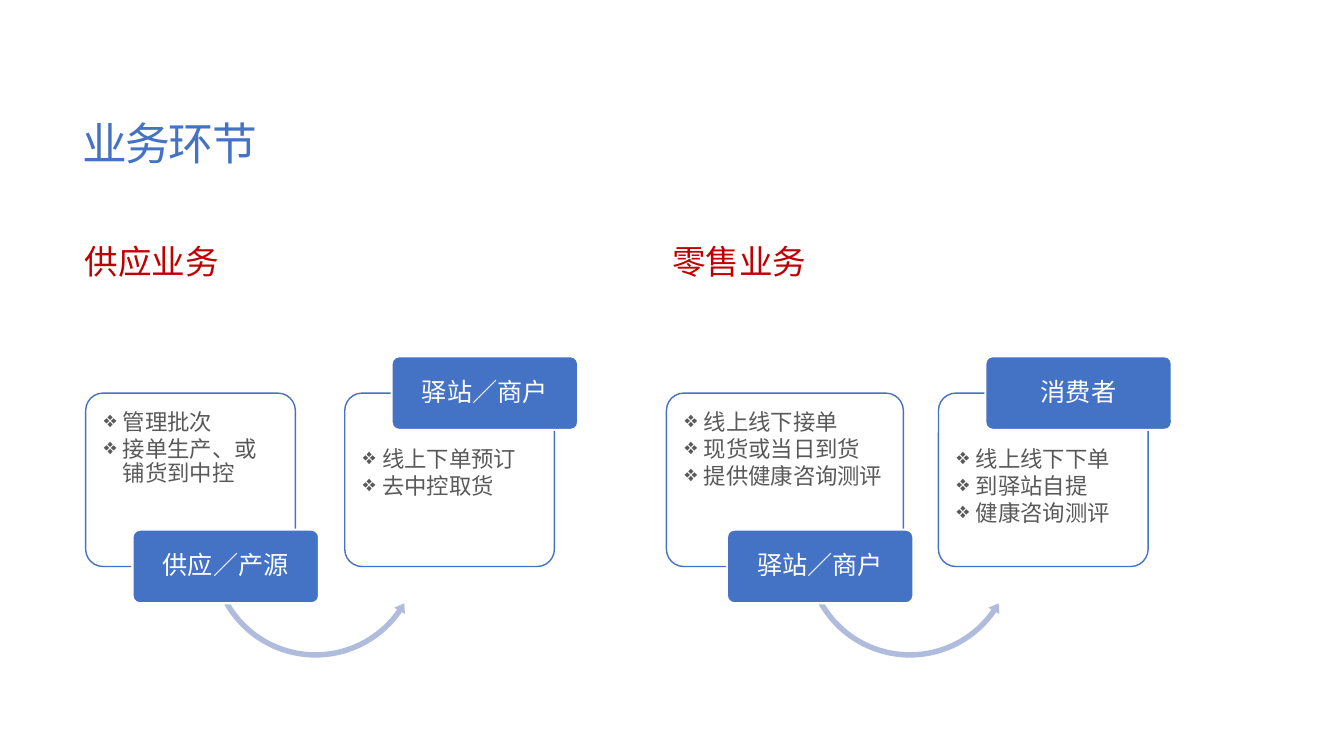
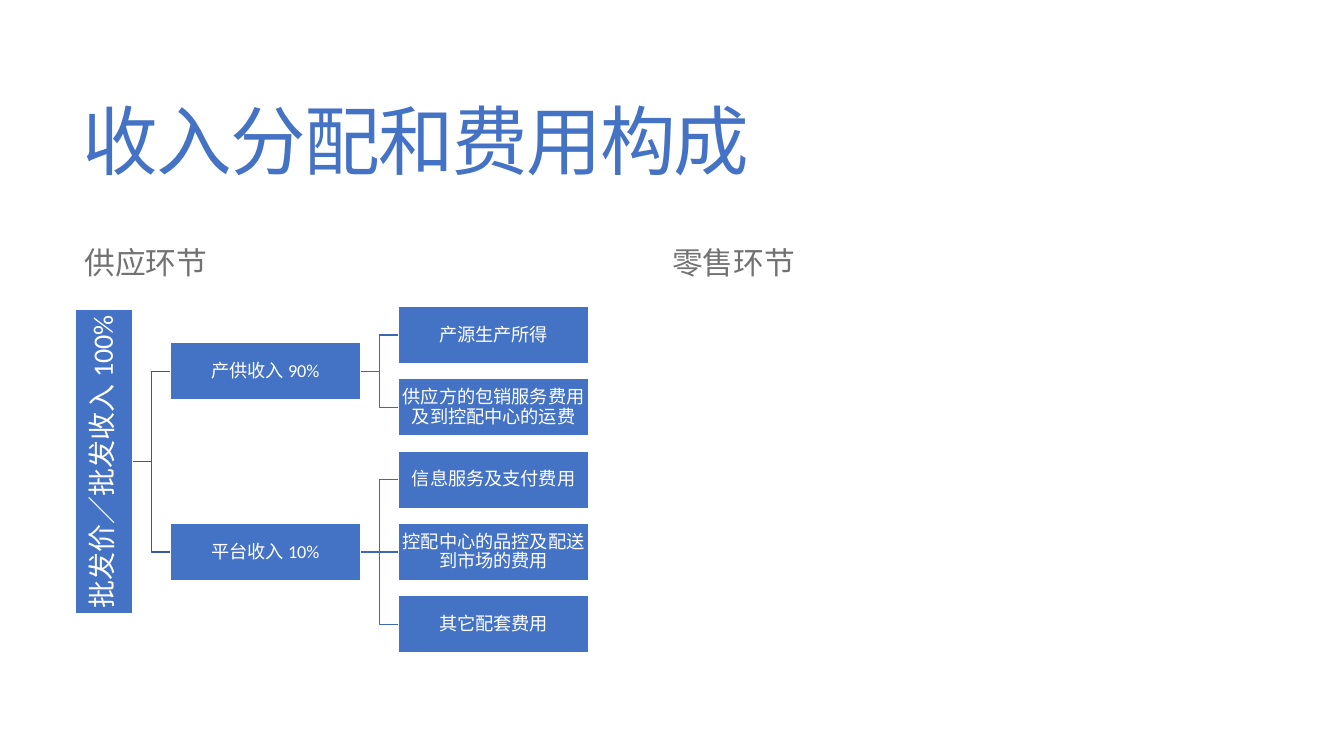
"""Build two slides on business links and on how revenue is shared."""
from lxml import etree
from pptx import Presentation
from pptx import util as u
from pptx.dml.color import RGBColor
from pptx.enum import shapes, text
from pptx.oxml.ns import qn

WIDTH, HEIGHT = u.Inches(13.333), u.Inches(7.5)
COLUMNS, ROWS = 40, 30

BLUE = RGBColor(0x44, 0x72, 0xC4)
RED = RGBColor(0xC0, 0x00, 0x00)
GREY = RGBColor(0x72, 0x72, 0x72)
DARK_GREY = RGBColor(0x59, 0x59, 0x59)
PALE_BLUE = RGBColor(0xB0, 0xBC, 0xDE)
ROOT_LINE = RGBColor(0x36, 0x5B, 0x9D)
BRANCH_LINE = RGBColor(0x3E, 0x67, 0xB2)
WHITE = RGBColor(0xFF, 0xFF, 0xFF)

CJK, LATIN = "Noto Sans CJK SC", "Calibri"
MIDDLE, TOP = text.MSO_ANCHOR.MIDDLE, text.MSO_ANCHOR.TOP
CENTER, LEFT = text.PP_ALIGN.CENTER, text.PP_ALIGN.LEFT
SHAPE = shapes.MSO_SHAPE

HEADING_LEFTS = (2.22, 19.71)
CARD_TOP, CARD_HEIGHT = 15.6, 6.88
LABEL_SIZE, LABEL_SHIFT = (5.55, 2.92), 1.05
ARROW_SIZE, ARROW_SHIFT, ARROW_ROW = (6.45, 8.6), 2.67, 21.94
ARROW_ADJUSTMENTS = (0.025, 3.019, 20.774, 90.245, 0.029)
NODE_SIZE, ROOT_SIZE = (5.67, 2.28), (9.06, 2.28)
ROOT_COLUMN, BRANCH_COLUMN, LEAF_COLUMN = 3.09, 7.9, 14.69
ROOT_HALF = 0.86
FIRST_LEAF_ROW, LEAF_STEP = 13.3, 2.87

FLOWS = (
    ((5.67, 6.24, "供应／产源", ("管理批次", "接单生产、或铺货到中控")),
     (13.38, 6.24, "驿站／商户", ("线上下单预订", "去中控取货"))),
    ((23.36, 7.05, "驿站／商户", ("线上线下接单", "现货或当日到货", "提供健康咨询测评")),
     (31.05, 6.24, "消费者", ("线上线下下单", "到驿站自提", "健康咨询测评"))),
)
REVENUE = (
    ("产供收入 90%", ("产源生产所得", "供应方的包销服务费用及到控配中心的运费")),
    ("平台收入 10%", ("信息服务及支付费用", "控配中心的品控及配送到市场的费用", "其它配套费用")),
)


def column(count):
    """Return the length of a number of grid columns."""
    return round(WIDTH * count / COLUMNS)


def row(count):
    """Return the length of a number of grid rows."""
    return round(HEIGHT * count / ROWS)


def apply(target, values):
    """Set each attribute of the target named in a dict."""
    for name, value in values.items():
        setattr(target, name, value)


def add_bullet(paragraph):
    """Give a paragraph a diamond bullet with a hanging indent."""
    properties = paragraph._p.get_or_add_pPr()
    properties.set("marL", str(u.Inches(0.19)))
    properties.set("indent", str(-u.Inches(0.19)))
    etree.SubElement(properties, qn("a:buChar")).set("char", "❖")


def write(shape, lines, size, color, font=CJK, insets=(0.1, 0.05), extra_top=0,
          anchor=MIDDLE, bullets=False, tracking=0, **paragraph_format):
    """Fill a shape with formatted paragraphs."""
    side, edge = (u.Inches(inset) for inset in insets)
    frame = shape.text_frame
    apply(frame, {"word_wrap": True, "vertical_anchor": anchor,
                  "margin_left": side, "margin_right": side,
                  "margin_top": edge + extra_top, "margin_bottom": edge})
    for index, line in enumerate(lines):
        paragraph = frame.add_paragraph() if index else frame.paragraphs[0]
        apply(paragraph, {"alignment": LEFT, "line_spacing": 0.9, **paragraph_format})
        if bullets:
            add_bullet(paragraph)
        run = paragraph.add_run()
        run.text = line
        apply(run.font, {"size": u.Pt(size), "name": font})
        run.font.color.rgb = color
        properties = run._r.get_or_add_rPr()
        etree.SubElement(properties, qn("a:ea")).set("typeface", CJK)
        if tracking:
            properties.set("spc", str(tracking))


def add_text(slide, left, top, width, height, line, size, color, font, **options):
    """Add a text box in the style of titles and headings."""
    box = slide.shapes.add_textbox(column(left), row(top), column(width), row(height))
    write(box, [line], size, color, font, line_spacing=0.85, **options)


def add_frame(slide, title, title_size, headings, heading_size, heading_color, font):
    """Add the title and the two headings of a slide."""
    add_text(slide, 2.16, 2.2, 35.34, 7.24, title, title_size, BLUE, font, tracking=-120)
    for left, heading in zip(HEADING_LEFTS, headings):
        add_text(slide, left, 8.92, 15.3, 3.16, heading, heading_size, heading_color,
                 font, space_before=u.Pt(13))


def add_block(slide, kind, center, size, fill, line=None, weight=1, adjustments=()):
    """Add a preset shape centred on a grid point."""
    (x, y), (width, height) = center, size
    shape = slide.shapes.add_shape(kind, column(x - width / 2), row(y - height / 2),
                                   column(width), row(height))
    shape.shadow.inherit = False
    shape.fill.solid()
    shape.fill.fore_color.rgb = fill
    if line is None:
        shape.line.fill.background()
    else:
        shape.line.color.rgb = line
        shape.line.width = u.Pt(weight)
    for index, value in enumerate(adjustments):
        shape.adjustments[index] = value
    return shape


def add_card(slide, center, width, lines, label_on_top):
    """Add an outlined card with bullets, clear of its label."""
    card = add_block(slide, SHAPE.ROUNDED_RECTANGLE, (center, CARD_TOP + CARD_HEIGHT / 2),
                     (width, CARD_HEIGHT), WHITE, BLUE, adjustments=(0.1,))
    write(card, lines, 16, DARK_GREY, insets=(0.13, 0.13),
          extra_top=row(LABEL_SIZE[1] / 2) if label_on_top else 0,
          anchor=TOP, bullets=True, space_after=u.Pt(2))


def add_label(slide, center, y, name):
    """Add the blue label that straddles an edge of a card."""
    label = add_block(slide, SHAPE.ROUNDED_RECTANGLE, (center, y), LABEL_SIZE,
                      BLUE, WHITE, 1.5, (0.1,))
    write(label, [name], 18, WHITE, insets=(0.04, 0.03), alignment=CENTER)


def add_flow(slide, steps):
    """Add two cards joined by a curved arrow."""
    for index, (center, width, name, lines) in enumerate(steps):
        label_on_top = index == 1
        label_center = center + LABEL_SHIFT
        add_card(slide, center, width, lines, label_on_top)
        if not label_on_top:
            add_block(slide, SHAPE.LEFT_CIRCULAR_ARROW, (label_center + ARROW_SHIFT, ARROW_ROW),
                      ARROW_SIZE, PALE_BLUE, adjustments=ARROW_ADJUSTMENTS)
        add_label(slide, label_center, CARD_TOP + (0 if label_on_top else CARD_HEIGHT), name)


def add_node(slide, center, name, size=NODE_SIZE, font_size=13, rotation=0):
    """Add one box of the revenue tree."""
    node = add_block(slide, SHAPE.RECTANGLE, center, size, BLUE, WHITE)
    node.rotation = rotation
    write(node, [name], font_size, WHITE, LATIN, insets=(0.01, 0.01), alignment=CENTER)


def add_link(slide, start, end, color):
    """Join two grid points by a straight or elbow connector."""
    level = abs(start[1] - end[1]) < 0.01
    kind = shapes.MSO_CONNECTOR.STRAIGHT if level else shapes.MSO_CONNECTOR.ELBOW
    link = slide.shapes.add_connector(kind, column(start[0]), row(start[1]),
                                      column(end[0]), row(end[1]))
    link.line.color.rgb = color
    link.line.width = u.Pt(1)
    etree.SubElement(link._element.spPr, qn("a:effectLst"))


def add_tree(slide, root_name, branches):
    """Add the revenue tree, each parent centred on its children."""
    half = NODE_SIZE[0] / 2
    branch_rows, leaf_row = [], FIRST_LEAF_ROW
    for branch_name, leaves in branches:
        leaf_rows = [leaf_row + LEAF_STEP * index for index in range(len(leaves))]
        leaf_row += LEAF_STEP * len(leaves)
        branch_row = sum(leaf_rows) / len(leaf_rows)
        branch_rows.append(branch_row)
        for y, leaf_name in zip(leaf_rows, leaves):
            add_link(slide, (BRANCH_COLUMN + half, branch_row), (LEAF_COLUMN - half, y),
                     BRANCH_LINE)
            add_node(slide, (LEAF_COLUMN, y), leaf_name)
        add_node(slide, (BRANCH_COLUMN, branch_row), branch_name)
    root_row = sum(branch_rows) / len(branch_rows)
    for y in branch_rows:
        add_link(slide, (ROOT_COLUMN + ROOT_HALF, root_row), (BRANCH_COLUMN - half, y), ROOT_LINE)
    add_node(slide, (ROOT_COLUMN, root_row), root_name, ROOT_SIZE, 20, 270)


def main():
    """Build and save the presentation."""
    presentation = Presentation()
    apply(presentation, {"slide_width": WIDTH, "slide_height": HEIGHT})
    blank = presentation.slide_layouts[6]

    slide = presentation.slides.add_slide(blank)
    add_frame(slide, "业务环节", 32, ("供应业务", "零售业务"), 24, RED, CJK)
    for steps in FLOWS:
        add_flow(slide, steps)

    slide = presentation.slides.add_slide(blank)
    add_frame(slide, "收入分配和费用构成", 54, ("供应环节", "零售环节"), 22, GREY, LATIN)
    add_tree(slide, "批发价／批发收入 100%", REVENUE)

    presentation.save("out.pptx")


if __name__ == "__main__":
    main()
